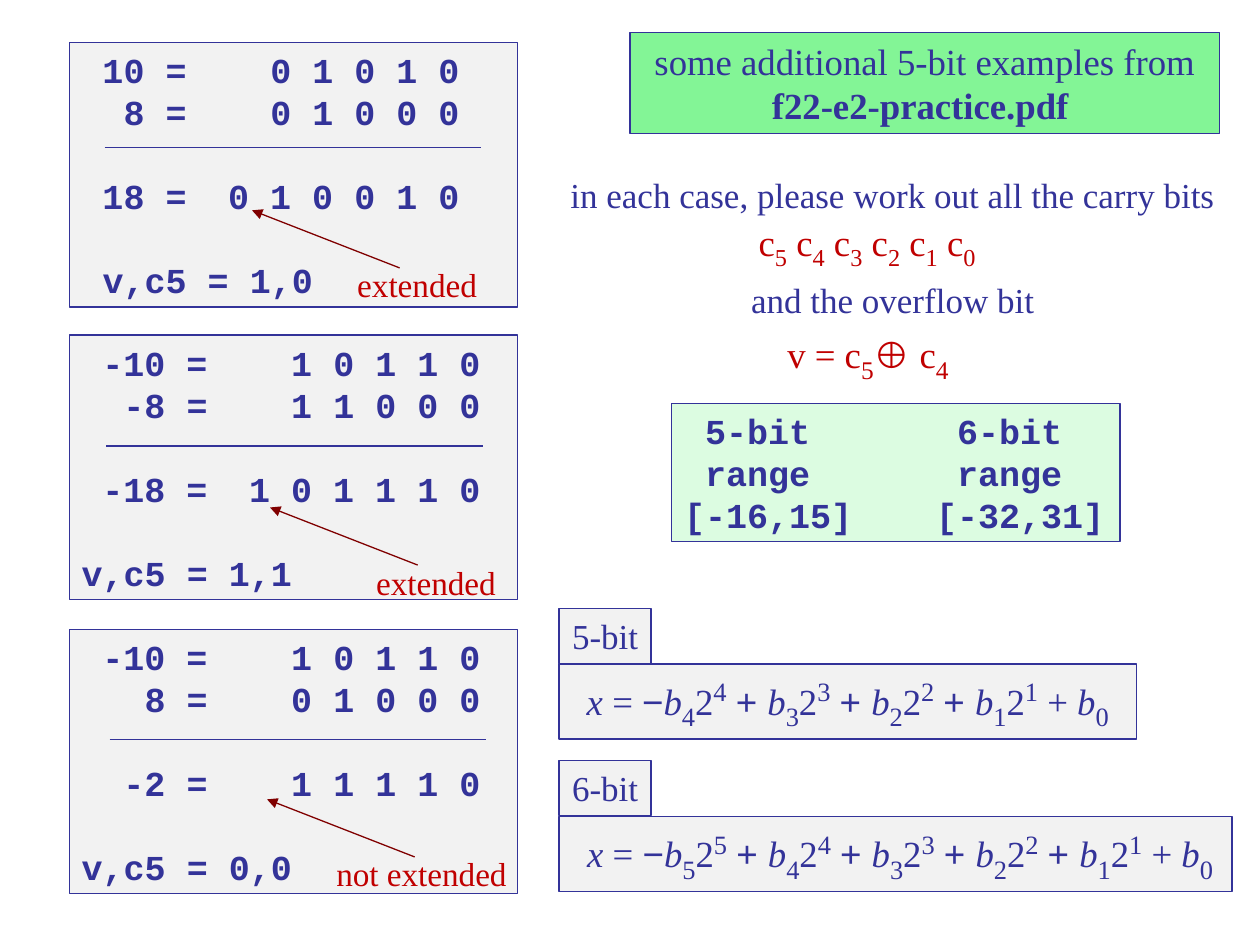
from lxml import etree
from pptx import Presentation
from pptx.dml.color import RGBColor
from pptx.enum.shapes import MSO_CONNECTOR, MSO_SHAPE
from pptx.enum.text import MSO_ANCHOR, PP_ALIGN
from pptx.oxml.ns import qn
from pptx.util import Pt

LINE, RECT = MSO_CONNECTOR.STRAIGHT, MSO_SHAPE.RECTANGLE
TOP, LEFT, CENTER = MSO_ANCHOR.TOP, PP_ALIGN.LEFT, PP_ALIGN.CENTER
SERIF, MONO, SANS = "Times New Roman", "Courier New", "Arial"
COLORS = {"ink": "333399", "red": "C00000", "arrow": "800000", "title": "83F596",
          "range": "DCFCE1", "panel": "F2F2F2"}
CHAR = 12
PANEL_X, PANEL_W, PANEL_H = 39.6, 256.3, 151.2


def rgb(name):
    return RGBColor.from_string(COLORS[name])


def add_box(s, x, y, w, h, fill=None, wrap=True):
    frame = tuple(Pt(v) for v in (x, y, w, h))
    if fill:
        sp = s.shapes.add_shape(RECT, *frame)
        sp.shadow.inherit = False
        sp.fill.solid()
        sp.fill.fore_color.rgb = rgb(fill)
        sp.line.color.rgb = rgb("ink")
        sp.line.width = Pt(0.75)
    else:
        sp = s.shapes.add_textbox(*frame)
    tf = sp.text_frame
    tf.word_wrap = wrap
    tf.vertical_anchor = TOP
    return tf


def style_run(r, size, font=SERIF, color="ink", bold=False, italic=False, base=0):
    r.font.size = Pt(size)
    r.font.name = font
    r.font.color.rgb = rgb(color)
    r.font.bold = bold
    r.font.italic = italic
    if base:
        r.font._element.set("baseline", str(base * 1000))


def write_lines(tf, lines, size, align=CENTER, gaps=(), **look):
    tf.text = "\n".join(lines)
    for i, p in enumerate(tf.paragraphs):
        p.alignment = align
        p.line_spacing = Pt(size * 1.2)
        if i in gaps:
            p.space_before = Pt(gaps[i])
        for r in p.runs:
            style_run(r, size, **look)


def write_runs(tf, parts, align=CENTER, **look):
    p = tf.paragraphs[0]
    p.alignment = align
    for text, size, extra in parts:
        r = p.add_run()
        r.text = text
        style_run(r, size, **{**look, **extra})


def set_tabs(p, stops):
    tabs = etree.SubElement(p._p.get_or_add_pPr(), qn("a:tabLst"))
    for pos, kind in stops:
        etree.SubElement(tabs, qn("a:tab"), pos=str(Pt(pos)), algn=kind)


def add_line(s, x1, y1, x2, y2, color="ink", arrow=False):
    c = s.shapes.add_connector(LINE, Pt(x1), Pt(y1), Pt(x2), Pt(y2))
    c.line.color.rgb = rgb(color)
    c.line.width = Pt(0.75)
    if arrow:
        etree.SubElement(c.line._get_or_add_ln(), qn("a:tailEnd"), type="triangle")
    etree.SubElement(c._element.spPr, qn("a:effectLst"))


def add_sum(s, y, rows, flags, label_chars, flag_chars):
    tf = add_box(s, PANEL_X, y, PANEL_W, PANEL_H, "panel")
    lines = [f"\t{label} =\t{bits}" for label, bits in rows]
    lines.append("\t" * (flag_chars > 0) + f"v,c5 = {flags}")
    write_lines(tf, lines, 20, LEFT, {2: 24, 3: 24}, font=MONO, bold=True)
    for p in tf.paragraphs[:3]:
        set_tabs(p, [(label_chars * CHAR, "r"), ((label_chars + 13) * CHAR, "r")])
    if flag_chars:
        set_tabs(tf.paragraphs[3], [(flag_chars * CHAR, "l")])


def add_note(s, text, x, y, w, tip_x, tip_y):
    add_line(s, tip_x + 84.4, tip_y + 32.9, tip_x, tip_y, "arrow", True)
    write_lines(add_box(s, x, y, w, 30.2, wrap=False), [text], 19, color="red")


def add_formula(s, bits, y, w, lead):
    tab = add_box(s, 319.5, y, 52.6, 31.5, "panel", False)
    write_lines(tab, [f"{bits}-bit"], 20)
    ital, sub, sup, sans = {"italic": True}, {"base": -25}, {"base": 30}, {"font": SANS}
    parts = [(lead + "x", 21, ital), (" = ", 21, {}), ("−", 21, sans)]
    for n in range(bits - 1, 0, -1):
        parts += [("b", 21, ital), (str(n), 26, sub), ("2", 21, {}), (str(n), 26, sup)]
        parts += [(" ", 21, {}), ("+ ", 21, sans)] if n > 1 else [(" + ", 21, {})]
    parts += [("b", 21, ital), ("0", 26, sub)]
    write_runs(add_box(s, 319.5, y + 31.7, w, 43, "panel", False), parts)


def add_ranges(s):
    tf = add_box(s, 383.8, 230.4, 256.3, 79.2, "range")
    lines = ["\t5-bit\t6-bit", "\trange\trange", "[-16,15]\t[-32,31]"]
    write_lines(tf, lines, 20, LEFT, font=MONO, bold=True)
    for p in tf.paragraphs[:2]:
        set_tabs(p, [(CHAR, "l"), (13 * CHAR, "l")])
    set_tabs(tf.paragraphs[2], [(12 * CHAR, "l")])


def add_instructions(s):
    write_lines(add_box(s, 316.1, 95.8, 388.1, 91.4, wrap=False),
                ["in each case, please work out all the carry bits",
                 "and the overflow bit"], 20, gaps={1: 36})
    carries = [part for n in range(5, -1, -1)
               for part in ((" c", 21, {}), (str(n), 24, {"base": -25}))]
    write_runs(add_box(s, 409.7, 118.8, 166.3, 40.3, wrap=False), carries, color="red")
    sub = {"base": -25}
    overflow = [("v = c", 21, {}), ("5", 25, sub), ("⊕", 21, {"font": SANS}),
                (" c", 21, {}), ("4", 25, sub)]
    write_runs(add_box(s, 442.8, 182.2, 113, 41.8), overflow, LEFT, color="red")


def main():
    prs = Presentation()
    prs.slide_width, prs.slide_height = Pt(720), Pt(540)
    s = prs.slides.add_slide(prs.slide_layouts[6])
    tf = add_box(s, 360, 18.7, 337, 57.6, "title", False)
    write_lines(tf, ["some additional 5-bit examples from", "f22-e2-practice.pdf "], 21)
    tf.paragraphs[1].runs[0].font.bold = True
    add_ranges(s)
    add_sum(s, 24.3, [("10", "0 1 0 1 0"), ("8", "0 1 0 0 0"), ("18", "0 1 0 0 1 0")],
            "1,0", 5, 1)
    add_sum(s, 191.5, [("-10", "1 0 1 1 0"), ("-8", "1 1 0 0 0"), ("-18", "1 0 1 1 1 0")],
            "1,1", 6, 0)
    add_sum(s, 359.6, [("-10", "1 0 1 1 0"), ("8", "0 1 0 0 0"), ("-2", "1 1 1 1 0")],
            "0,0", 6, 0)
    for x, y in ((59.8, 84.3), (60.8, 254.9), (62.6, 422.6)):
        add_line(s, x, y, x + 215.3, y)
    add_note(s, "extended", 193, 147.6, 90.7, 144, 120.2)
    add_note(s, "extended", 203.8, 317.5, 90.7, 154.3, 290)
    add_note(s, "not extended", 180, 483.8, 121.7, 152.6, 456.8)
    add_instructions(s)
    add_formula(s, 5, 347.7, 329.8, "")
    add_formula(s, 6, 434.7, 384.5, " ")
    prs.save("out.pptx")


if __name__ == "__main__":
    main()
